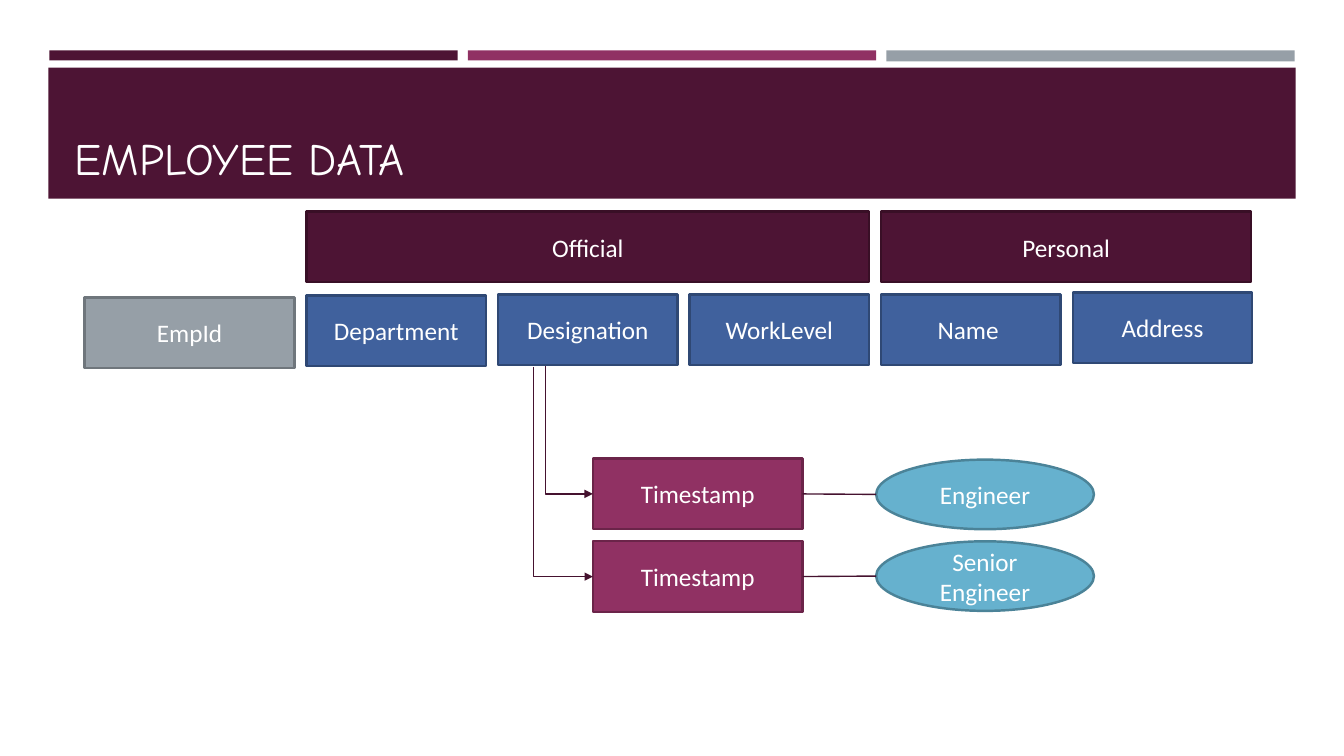
"""Build the employee data slide."""
from dataclasses import dataclass

from lxml.etree import SubElement
from pptx import Presentation
from pptx.dml.color import RGBColor
from pptx.enum.shapes import MSO_CONNECTOR, MSO_SHAPE
from pptx.enum.text import MSO_ANCHOR, PP_ALIGN
from pptx.oxml.ns import qn
from pptx.util import Inches, Pt

WHITE = RGBColor(0xFF, 0xFF, 0xFF)
PLUM = RGBColor(0x4D, 0x14, 0x34)
PLUM_EDGE = RGBColor(0x39, 0x0F, 0x26)
MAGENTA = RGBColor(0x90, 0x31, 0x63)
MAGENTA_EDGE = RGBColor(0x6B, 0x24, 0x49)
GRAY = RGBColor(0x96, 0x9F, 0xA7)
GRAY_EDGE = RGBColor(0x6F, 0x76, 0x7C)
BLUE = RGBColor(0x40, 0x61, 0x9D)
BLUE_EDGE = RGBColor(0x2F, 0x48, 0x74)
SKY = RGBColor(0x66, 0xB1, 0xCE)
SKY_EDGE = RGBColor(0x4B, 0x83, 0x98)
LINK = RGBColor(0x45, 0x12, 0x2F)

BOX_HEIGHT = 0.7
COLUMN_LEFT, COLUMN_STEP, COLUMN_WIDTH = 3.04, 1.9, 1.78


@dataclass(frozen=True)
class Box:
    left: float
    top: float
    width: float
    height: float
    fill: RGBColor
    edge: RGBColor | None = None
    label: str = ""
    kind: MSO_SHAPE = MSO_SHAPE.RECTANGLE


@dataclass(frozen=True)
class HistoryEntry:
    top: float
    role: str
    role_top: float
    drop_left: float
    drop_top: float


BANDS = [
    Box(0.49, 0.5, 4.05, 0.1, PLUM),
    Box(8.79, 0.5, 4.05, 0.11, GRAY),
    Box(4.64, 0.5, 4.05, 0.1, MAGENTA),
    Box(0.48, 0.67, 12.37, 1.3, PLUM),
]
FAMILIES = [
    Box(0.84, 2.95, 2.08, BOX_HEIGHT, GRAY, GRAY_EDGE, "EmpId"),
    Box(COLUMN_LEFT, 2.1, 5.58, BOX_HEIGHT, PLUM, PLUM_EDGE, "Official"),
    Box(8.74, 2.1, 3.67, BOX_HEIGHT, PLUM, PLUM_EDGE, "Personal"),
]
FIELDS = [
    ("Department", 2.93),
    ("Designation", 2.92),
    ("WorkLevel", 2.92),
    ("Name ", 2.92),
    ("Address", 2.9),
]
HISTORY = [
    HistoryEntry(4.55, "Engineer", 4.56, 5.41, 3.63),
    HistoryEntry(5.37, "Senior Engineer", 5.37, 5.29, 3.64),
]


def draw_box(slide, box: Box):
    shape = slide.shapes.add_shape(
        box.kind, Inches(box.left), Inches(box.top), Inches(box.width), Inches(box.height)
    )
    shape.shadow.inherit = False
    shape.fill.solid()
    shape.fill.fore_color.rgb = box.fill
    if box.edge is None:
        shape.line.fill.background()
    else:
        shape.line.color.rgb = box.edge
        shape.line.width = Pt(1.75)
    if box.label:
        frame = shape.text_frame
        frame.text = box.label
        frame.word_wrap = True
        frame.vertical_anchor = MSO_ANCHOR.MIDDLE
        paragraph = frame.paragraphs[0]
        paragraph.alignment = PP_ALIGN.CENTER
        style_run(paragraph.runs[0], "Calibri", 18)
    return shape


def style_run(run, typeface: str, size: float) -> None:
    run.font.name = typeface
    run.font.size = Pt(size)
    run.font.color.rgb = WHITE


def draw_link(slide, kind: MSO_CONNECTOR, x1: float, y1: float, x2: float, y2: float):
    link = slide.shapes.add_connector(kind, Inches(x1), Inches(y1), Inches(x2), Inches(y2))
    link.line.color.rgb = LINK
    link.line.width = Pt(1)
    SubElement(link._element.spPr, qn("a:effectLst"))
    return link


def draw_drop_arrow(slide, x1: float, y1: float, x2: float, y2: float) -> None:
    """Draw an arrow that goes down and then right, as a turned two-part connector."""
    center_x, center_y = (x1 + x2) / 2, (y1 + y2) / 2
    half_width, half_height = (y2 - y1) / 2, (x2 - x1) / 2
    arrow = draw_link(
        slide,
        MSO_CONNECTOR.ELBOW,
        center_x + half_width,
        center_y - half_height,
        center_x - half_width,
        center_y + half_height,
    )
    properties = arrow._element.spPr
    properties.find(qn("a:xfrm")).set("rot", str(270 * 60000))
    properties.find(qn("a:prstGeom")).set("prst", "bentConnector2")
    SubElement(properties.find(qn("a:ln")), qn("a:tailEnd"), type="triangle")


def draw_title(slide) -> None:
    title = slide.shapes.title
    title.left, title.top = Inches(0.64), Inches(0.77)
    title.width, title.height = Inches(12.06), Inches(1.11)
    title.text_frame.text = "EMPLOYEE DATA"
    title.text_frame.vertical_anchor = MSO_ANCHOR.BOTTOM
    paragraph = title.text_frame.paragraphs[0]
    paragraph.alignment = PP_ALIGN.LEFT
    style_run(paragraph.runs[0], "Comic Neue", 32)
    slide.shapes._spTree.append(title._element)


def draw_history(slide, entry: HistoryEntry) -> None:
    timestamp = Box(5.88, entry.top, 2.08, BOX_HEIGHT, MAGENTA, MAGENTA_EDGE, "Timestamp")
    role = Box(8.69, entry.role_top, 2.16, 0.69, SKY, SKY_EDGE, entry.role, MSO_SHAPE.OVAL)
    timestamp_shape = draw_box(slide, timestamp)
    draw_box(slide, role)
    middle = entry.top + BOX_HEIGHT / 2
    draw_drop_arrow(slide, entry.drop_left, entry.drop_top, timestamp.left, middle)
    role_link = draw_link(
        slide,
        MSO_CONNECTOR.STRAIGHT,
        timestamp.left + timestamp.width,
        middle,
        role.left,
        role.top + role.height / 2,
    )
    role_link.begin_connect(timestamp_shape, 3)


def main() -> None:
    presentation = Presentation()
    presentation.slide_width, presentation.slide_height = Inches(13.33), Inches(7.5)
    slide = presentation.slides.add_slide(presentation.slide_layouts[5])
    for band in BANDS:
        draw_box(slide, band)
    draw_title(slide)
    for family in FAMILIES:
        draw_box(slide, family)
    for column, (field, top) in enumerate(FIELDS):
        left = COLUMN_LEFT + column * COLUMN_STEP
        draw_box(slide, Box(left, top, COLUMN_WIDTH, BOX_HEIGHT, BLUE, BLUE_EDGE, field))
    for entry in HISTORY:
        draw_history(slide, entry)
    presentation.save("out.pptx")


if __name__ == "__main__":
    main()
